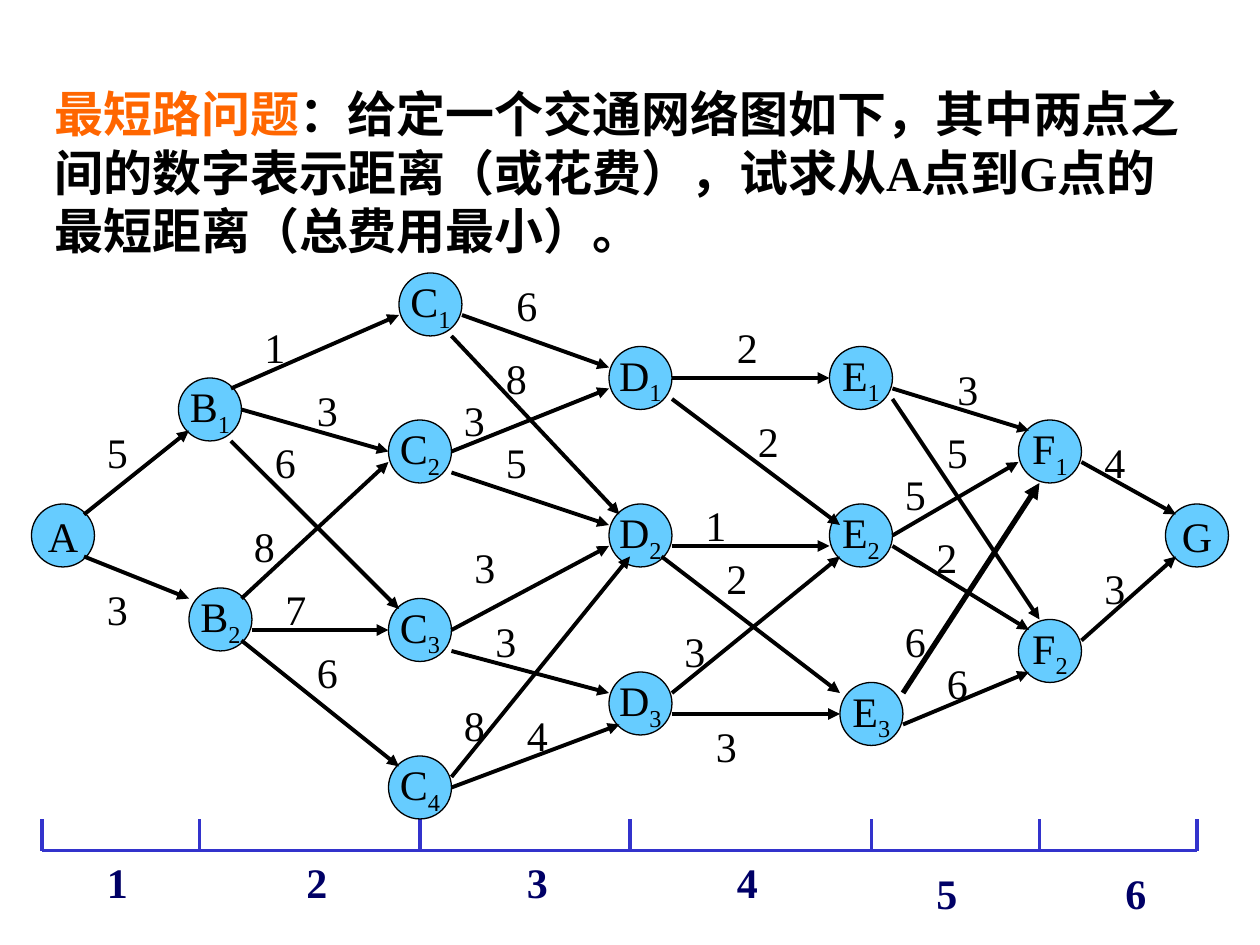
from lxml.etree import SubElement
from pptx import Presentation
from pptx.dml.color import RGBColor
from pptx.enum.shapes import MSO_CONNECTOR as CONNECTOR, MSO_SHAPE as SHAPE
from pptx.enum.text import MSO_ANCHOR as ANCHOR, PP_ALIGN as ALIGN
from pptx.oxml.ns import qn
from pptx.util import Pt

COLORS = {"text": "000000", "title": "FF6600", "node": "66CCFF",
          "axis": "3333CC", "stage": "000066"}
LATIN, CHINESE = "Times New Roman", "Noto Sans CJK SC"
NODE_SIZE = 36
LABEL_SIZE = (26.5, 36)

STATEMENT = [
    ("最短路问题", CHINESE, "title"),
    ("：给定一个交通网络图如下，其中两点之间的数字表示距离（或花费），试求从", CHINESE, "text"),
    ("A", LATIN, "text"), ("点到", CHINESE, "text"), ("G", LATIN, "text"),
    ("点的最短距离（总费用最小）。", CHINESE, "text"),
]

# Node name: left, top
NODES = {
    "A": (18, 288), "B1": (102, 216), "B2": (108, 336),
    "C1": (228, 156), "C2": (222, 240), "C3": (222, 342), "C4": (222, 432),
    "D1": (348, 198), "D2": (348, 288), "D3": (348, 384),
    "E1": (474, 198), "E2": (474, 288), "E3": (480, 390),
    "F1": (582, 240), "F2": (582, 354), "G": (666, 288),
}

# Arrow start, arrow end, distance, left and top of the distance
ROUTES = [
    # A to B
    ((48, 294), (108, 246), "5", (54, 240)),
    ((48, 318), (108, 342), "3", (54, 330)),
    # B to C
    ((132, 222), (228, 180), "1", (144, 180)),
    ((138, 234), (222, 258), "3", (174, 216)),
    ((132, 252), (228, 348), "6", (150, 246)),
    ((138, 342), (222, 264), "8", (138, 294)),
    ((144, 360), (222, 360), "7", (156, 330)),
    ((138, 366), (228, 438), "6", (174, 366)),
    # C to D
    ((264, 180), (348, 210), "6", (288, 156)),
    ((258, 192), (354, 294), "8", (282, 198)),
    ((258, 258), (348, 222), "3", (258, 222)),
    ((258, 270), (348, 300), "5", (282, 246)),
    ((258, 360), (348, 312), "3", (264, 306)),
    ((258, 372), (348, 396), "3", (276, 348)),
    ((258, 450), (354, 414), "4", (294, 402)),
    ((258, 444), (360, 318), "8", (258, 396)),
    # D to E
    ((384, 216), (474, 216), "2", (414, 180)),
    ((384, 228), (480, 300), "2", (426, 234)),
    ((384, 312), (474, 312), "1", (396, 282)),
    ((378, 318), (480, 396), "2", (408, 312)),
    ((384, 396), (480, 318), "3", (384, 354)),
    ((384, 408), (480, 408), "3", (402, 408)),
    # E to F
    ((510, 222), (588, 246), "3", (540, 204)),
    ((510, 306), (582, 264), "5", (510, 264)),
    ((510, 228), (594, 354), "5", (534, 240)),
    ((510, 312), (588, 360), "2", (528, 300)),
    ((516, 396), (594, 276), "6", (510, 348)),
    ((516, 414), (588, 384), "6", (534, 372)),
    # F to G
    ((618, 264), (672, 294), "4", (624, 246)),
    ((618, 366), (672, 318), "3", (624, 318)),
]
HEAVY_START = (516, 396)

# Stage axis: tick positions, then left, top and width of each number
TICKS = [24, 114, 240, 360, 498, 594, 684]
AXIS_TOP, AXIS_BOTTOM = 468, 486
STAGES = [(54, 486, 42), (168, 486, 36), (294, 486, 30),
          (414, 486, 60), (528, 492, 42), (636, 492, 42)]


def color(name):
    return RGBColor.from_string(COLORS[name])


def set_font(font, size, color_name, bold=False, name=LATIN):
    font.size, font.bold, font.name = Pt(size), bold, name
    font.color.rgb = color(color_name)


def add_line(slide, start, end, color_name, width=2.25, arrow=False):
    line = slide.shapes.add_connector(CONNECTOR.STRAIGHT, *map(Pt, start + end))
    line.line.color.rgb = color(color_name)
    line.line.width = Pt(width)
    if arrow:
        SubElement(line.line._get_or_add_ln(), qn("a:tailEnd"), type="triangle")
    SubElement(line._element.spPr, qn("a:effectLst"))


def add_text(slide, left, top, width, height, text="", color_name="text",
             bold=False, wrap=True):
    box = slide.shapes.add_textbox(Pt(left), Pt(top), Pt(width), Pt(height))
    box.text_frame.word_wrap = wrap
    paragraph = box.text_frame.paragraphs[0]
    if text:
        paragraph.text = text
        set_font(paragraph.font, 24, color_name, bold)
    return box


def add_statement(slide):
    frame = add_text(slide, 24, 42, 666, 108).text_frame
    frame.margin_top = Pt(6)
    paragraph = frame.paragraphs[0]
    paragraph.line_spacing = Pt(33.4)
    for text, font_name, color_name in STATEMENT:
        run = paragraph.add_run()
        run.text = text
        set_font(run.font, 28, color_name, True, font_name)
        SubElement(run._r.get_or_add_rPr(), qn("a:ea"), typeface=CHINESE)


def add_node(slide, name, left, top):
    node = slide.shapes.add_shape(SHAPE.OVAL, Pt(left), Pt(top),
                                  Pt(NODE_SIZE), Pt(NODE_SIZE))
    node.shadow.inherit = False
    node.fill.solid()
    node.fill.fore_color.rgb = color("node")
    node.line.color.rgb = color("text")
    node.line.width = Pt(0.75)
    frame = node.text_frame
    frame.word_wrap = False
    frame.vertical_anchor = ANCHOR.MIDDLE
    paragraph = frame.paragraphs[0]
    paragraph.alignment = ALIGN.CENTER
    set_font(paragraph.font, 24, "text")
    paragraph.add_run().text = name[0]
    if name[1:]:
        subscript = paragraph.add_run()
        subscript.text = name[1:]
        subscript.font._element.set("baseline", "-25000")


def main():
    presentation = Presentation()
    presentation.slide_width, presentation.slide_height = Pt(720), Pt(540)
    slide = presentation.slides.add_slide(presentation.slide_layouts[6])
    add_statement(slide)

    # Stage axis
    add_line(slide, (TICKS[0], AXIS_BOTTOM), (TICKS[-1], AXIS_BOTTOM), "axis")
    for x in TICKS:
        add_line(slide, (x, AXIS_TOP), (x, AXIS_BOTTOM), "axis")
    for number, (left, top, width) in enumerate(STAGES, 1):
        add_text(slide, left, top, width, 36, str(number), "stage", True)

    # Network
    for name, (left, top) in NODES.items():
        add_node(slide, name, left, top)
    for start, end, _, _ in ROUTES:
        width = 3 if start == HEAVY_START else 2.25
        add_line(slide, start, end, "text", width, arrow=True)
    for _, _, distance, position in ROUTES:
        add_text(slide, *position, *LABEL_SIZE, distance, wrap=False)

    presentation.save("out.pptx")


if __name__ == "__main__":
    main()
